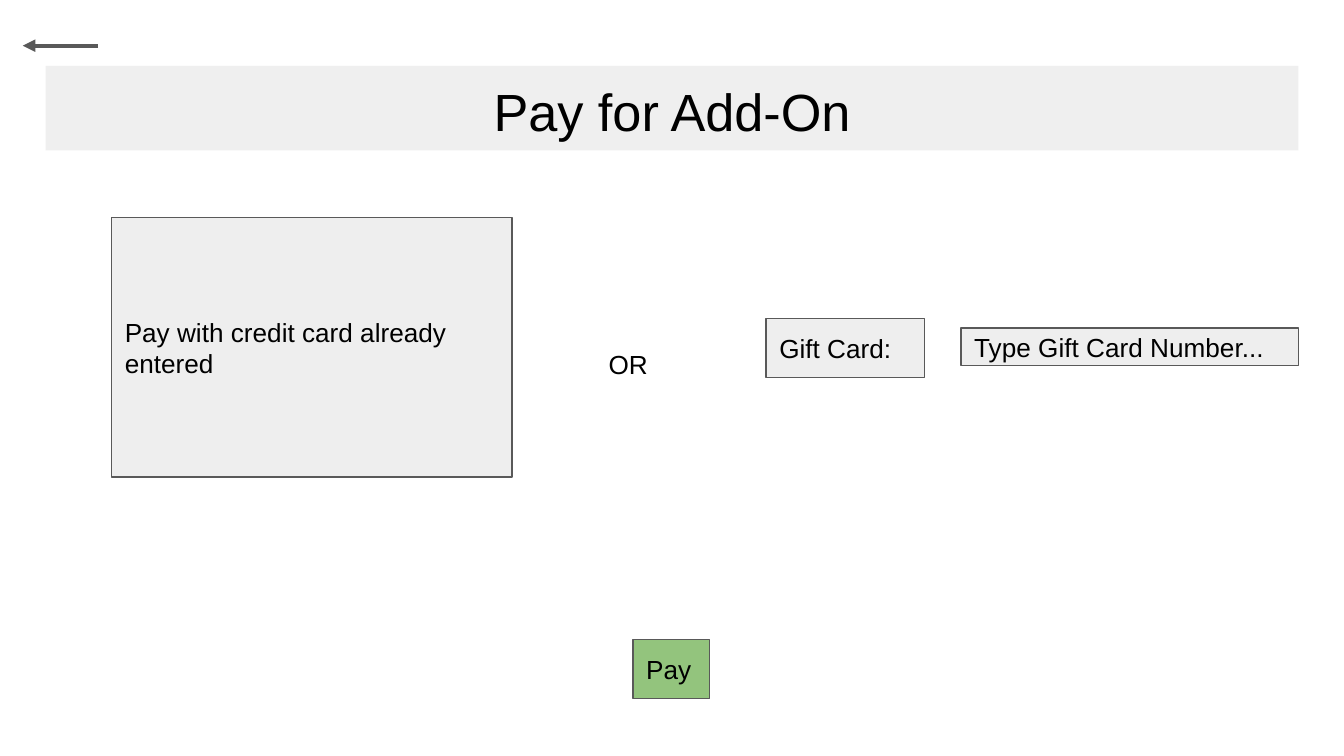
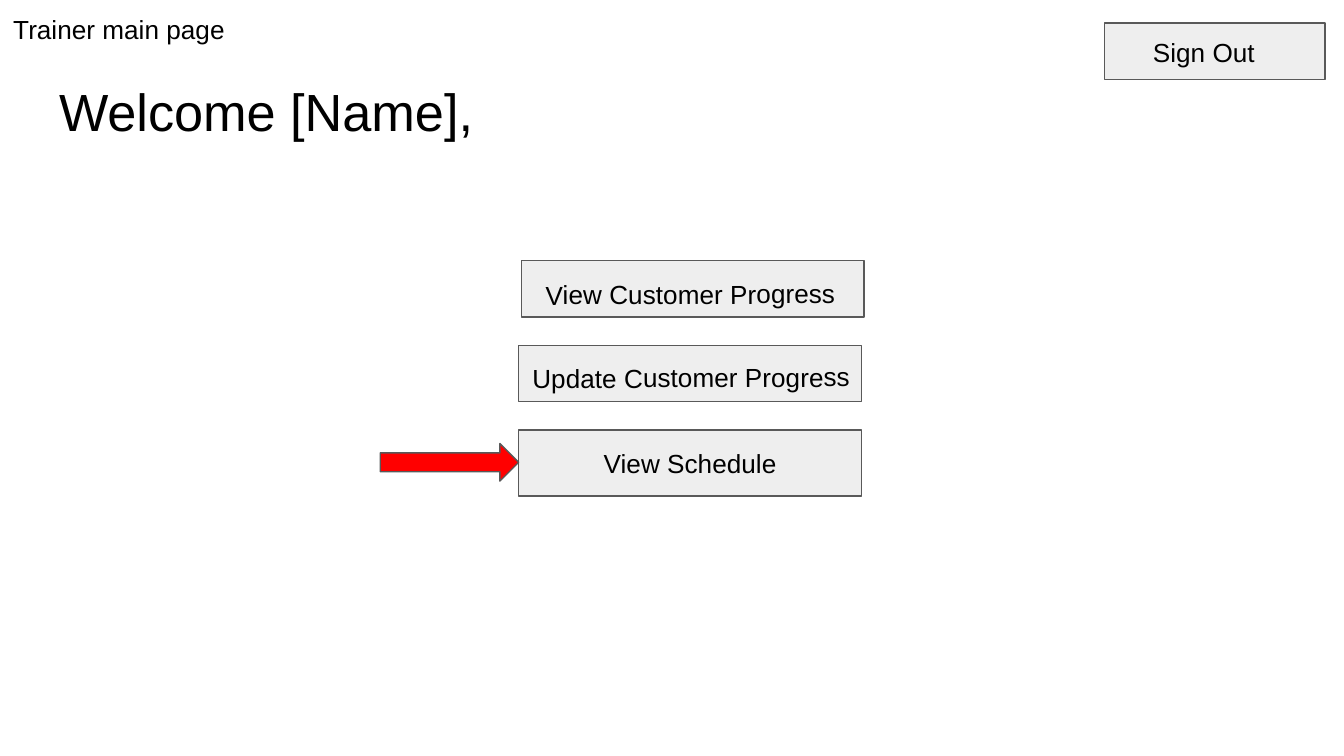
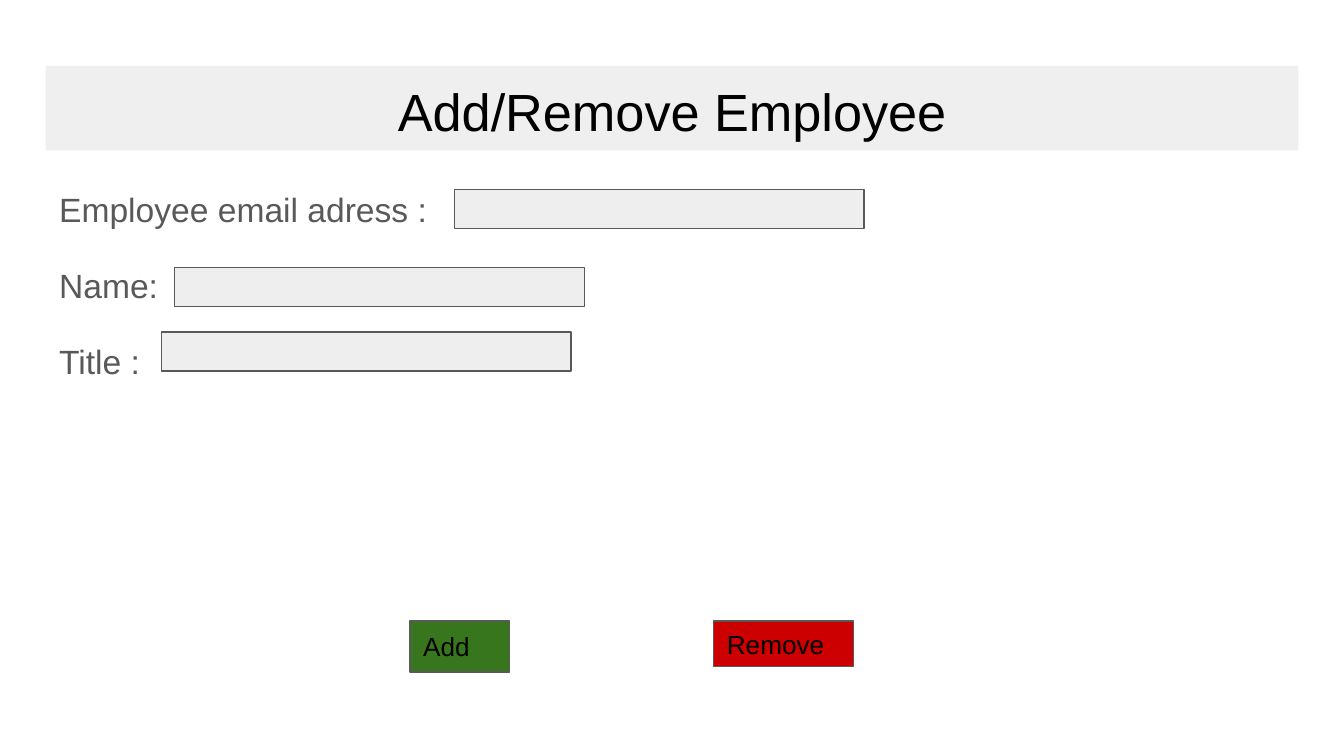
"""Build three wireframe slides: add-on payment, trainer home and employee form."""
import pptx
import pptx.util
import pptx.dml.color
import pptx.enum.shapes
import pptx.enum.text
import pptx.oxml
import pptx.oxml.ns
from dataclasses import dataclass

Inches, Pt = pptx.util.Inches, pptx.util.Pt
RGB = pptx.dml.color.RGBColor.from_string
SHAPE = pptx.enum.shapes.MSO_SHAPE
ALIGN = pptx.enum.text.PP_ALIGN
ANCHOR = pptx.enum.text.MSO_ANCHOR


@dataclass(frozen=True)
class Theme:
    font: str = "Arial"
    ink: str = "000000"
    muted: str = "595959"
    band: str = "EFEFEF"
    box: str = "EEEEEE"
    pay: str = "93C47D"
    add: str = "38761D"
    alert: str = "CC0000"
    pointer: str = "FF0000"
    title_size: int = 28
    body_size: int = 18
    label_size: int = 14
    outline: float = 0.75
    arrow: float = 2.25
    inset: float = 0.1


THEME = Theme()
TITLE_AREA = (0.34, 0.49, 9.32, 0.63)

PAYMENT_TITLE = "Pay for Add-On"
PAYMENT_BOXES = [
    ("Pay with credit card already entered", (0.83, 1.62, 2.98, 1.93), THEME.box),
    ("Gift Card:", (5.7, 2.37, 1.18, 0.44), THEME.box),
    ("Type Gift Card Number...", (7.15, 2.44, 2.51, 0.28), THEME.box),
    ("Pay", (4.71, 4.76, 0.57, 0.44), THEME.pay),
]
ALTERNATIVE = ("OR", (4.43, 2.5, 0.55, 0.19))
BACK_ARROW = (0.73, 0.34, 0.17, 0.34)

TRAINER_TITLE = "Welcome [Name],"
PAGE_NAME = ("Trainer main page", (0, 0, 2.98, 0.23))
SIGN_OUT = ("Sign Out", (8.48, 0.17, 1.25, 0.35))
SIGN_OUT_BOX = (8.22, 0.17, 1.64, 0.42)
MENU_TOP, MENU_STEP, MENU_WIDTH = 1.94, 0.63, 2.55
MENU_BOXES = [("", 3.88, 0.42), ("", 3.86, 0.42), ("View Schedule", 3.86, 0.49)]
TILTED_LABELS = [
    ("View Customer Progress", (3.91, 1.97, 2.6, 0.23), 0.15),
    ("Update Customer Progress", (3.75, 2.59, 2.94, 0.23), 0.21),
]
TILT = 359.7
POINTER = (2.83, 3.3, 1.03, 0.28)

EMPLOYEE_TITLE = "Add/Remove Employee"
EMPLOYEE_LABELS = ["Employee email adress :", "Name:", "Title :"]
EMPLOYEE_AREA = (0.34, 1.26, 9.32, 3.74)
FIELD_CORNERS = [(3.38, 1.41), (1.3, 1.99), (1.2, 2.47)]
FIELD_SIZE = (3.05, 0.29)
EMPLOYEE_ACTIONS = [
    ("Add", (3.05, 4.62, 0.74, 0.38), THEME.add),
    ("Remove", (5.31, 4.62, 1.04, 0.34), THEME.alert),
]


def inches(area):
    return [Inches(length) for length in area]


def write(holder, wording, size, color=THEME.ink, align=ALIGN.LEFT,
          anchor=ANCHOR.TOP, left_inset=THEME.inset):
    frame = holder.text_frame
    frame.text = wording
    frame.word_wrap = True
    frame.auto_size = pptx.enum.text.MSO_AUTO_SIZE.NONE
    frame.vertical_anchor = anchor
    frame.margin_left = Inches(left_inset)
    frame.margin_right = frame.margin_top = frame.margin_bottom = Inches(THEME.inset)
    for paragraph in frame.paragraphs:
        paragraph.alignment = align
        for run in paragraph.runs:
            run.font.name = THEME.font
            run.font.size = Pt(size)
            run.font.color.rgb = RGB(color)


def place(holder, area):
    holder.left, holder.top, holder.width, holder.height = inches(area)


def set_title(slide, wording, banded=True):
    title = slide.shapes.title
    place(title, TITLE_AREA)
    write(title, wording, THEME.title_size, align=ALIGN.CENTER if banded else ALIGN.LEFT)
    if banded:
        title.fill.solid()
        title.fill.fore_color.rgb = RGB(THEME.band)


def add_box(slide, area, wording="", fill=THEME.box, align=ALIGN.LEFT, kind=SHAPE.RECTANGLE):
    box = slide.shapes.add_shape(kind, *inches(area))
    box.shadow.inherit = False
    box.fill.solid()
    box.fill.fore_color.rgb = RGB(fill)
    box.line.color.rgb = RGB(THEME.muted)
    box.line.width = Pt(THEME.outline)
    if wording:
        write(box, wording, THEME.label_size, align=align, anchor=ANCHOR.MIDDLE)


def add_label(slide, wording, area, left_inset=THEME.inset, rotation=0):
    label = slide.shapes.add_textbox(*inches(area))
    label.rotation = rotation
    write(label, wording, THEME.label_size, left_inset=left_inset)


def add_back_arrow(slide):
    arrow = slide.shapes.add_connector(
        pptx.enum.shapes.MSO_CONNECTOR.STRAIGHT, *inches(BACK_ARROW))
    arrow.line.color.rgb = RGB(THEME.muted)
    arrow.line.width = Pt(THEME.arrow)
    head = pptx.oxml.parse_xml(
        f'<a:tailEnd {pptx.oxml.ns.nsdecls("a")} type="triangle"/>')
    arrow.line._get_or_add_ln().append(head)
    arrow._element.spPr.append(
        pptx.oxml.parse_xml(f'<a:effectLst {pptx.oxml.ns.nsdecls("a")}/>'))


def build_payment(slide):
    set_title(slide, PAYMENT_TITLE)
    for wording, area, fill in PAYMENT_BOXES:
        add_box(slide, area, wording, fill)
    add_back_arrow(slide)
    add_label(slide, *ALTERNATIVE)


def build_trainer(slide):
    set_title(slide, TRAINER_TITLE, banded=False)
    add_box(slide, SIGN_OUT_BOX)
    add_label(slide, *SIGN_OUT)
    add_label(slide, *PAGE_NAME)
    for row, (wording, left, height) in enumerate(MENU_BOXES):
        area = (left, MENU_TOP + row * MENU_STEP, MENU_WIDTH, height)
        add_box(slide, area, wording, align=ALIGN.CENTER)
    for wording, area, left_inset in TILTED_LABELS:
        add_label(slide, wording, area, left_inset, TILT)
    add_box(slide, POINTER, fill=THEME.pointer, kind=SHAPE.RIGHT_ARROW)


def build_employee(slide):
    set_title(slide, EMPLOYEE_TITLE)
    labels = slide.placeholders[1]
    place(labels, EMPLOYEE_AREA)
    write(labels, "\n".join(EMPLOYEE_LABELS), THEME.body_size, THEME.muted)
    for row, paragraph in enumerate(labels.text_frame.paragraphs):
        paragraph.line_spacing = 1.15
        paragraph.space_before = Pt(16 if row else 0)
        properties = paragraph._p.get_or_add_pPr()
        properties.set("marL", "0")
        properties.set("indent", "0")
        properties.append(
            pptx.oxml.parse_xml(f'<a:buNone {pptx.oxml.ns.nsdecls("a")}/>'))
    paragraph.space_after = Pt(16)
    for corner in FIELD_CORNERS:
        add_box(slide, corner + FIELD_SIZE)
    for wording, area, fill in EMPLOYEE_ACTIONS:
        add_box(slide, area, wording, fill)


def main():
    deck = pptx.Presentation()
    deck.slide_width = Inches(10)
    deck.slide_height = deck.slide_width * 9 // 16
    title_and_body, title_only = deck.slide_layouts[1], deck.slide_layouts[5]
    build_payment(deck.slides.add_slide(title_only))
    build_trainer(deck.slides.add_slide(title_only))
    build_employee(deck.slides.add_slide(title_and_body))
    deck.save("out.pptx")


if __name__ == "__main__":
    main()
